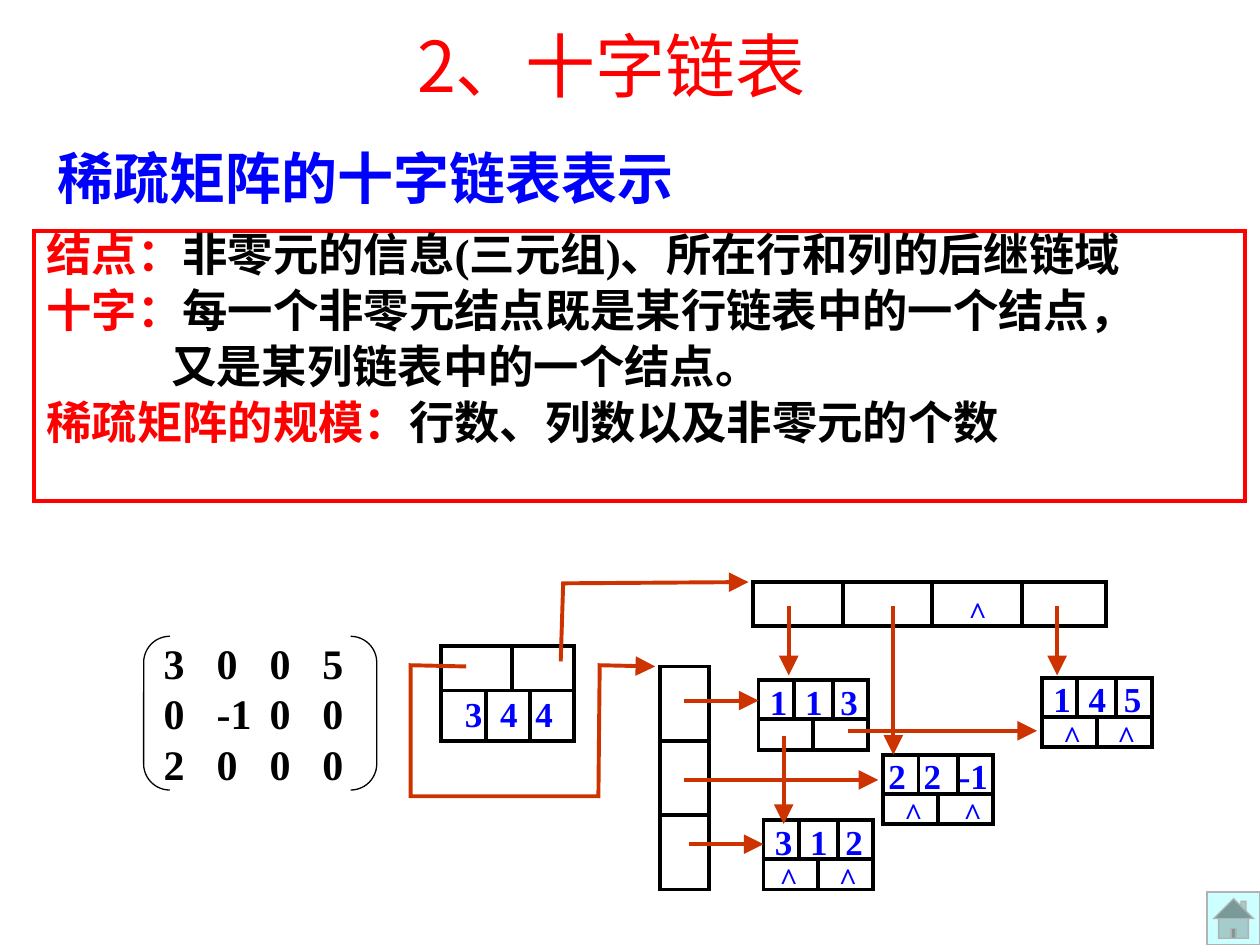
from lxml import etree
from pptx import Presentation
from pptx import util as u
from pptx.dml.color import RGBColor
from pptx.enum import shapes, text
from pptx.oxml import ns

BLACK, RED, BLUE, RUST = "000000", "FF0000", "0000FF", "CC3300"
SERIF, SANS = "Times New Roman", "Noto Sans CJK JP"
I = u.Inches


def rgb(value):
    """Turn a hex string into a colour."""
    return RGBColor.from_string(value)


def style_line(sp, color=BLACK, width=2.25, arrow=False):
    """Set the line of a shape or connector, with an optional end arrowhead."""
    sp.line.color.rgb = rgb(color)
    sp.line.width = u.Pt(width)
    ln = sp.line._get_or_add_ln()
    etree.SubElement(ln, ns.qn("a:miter"), lim="800000")
    if arrow:
        etree.SubElement(ln, ns.qn("a:tailEnd"), type="triangle", w="lg", len="lg")


def add_run(p, words, size, color, bold=True, font=SERIF):
    """Append one formatted run to a paragraph."""
    r = p.add_run()
    r.text = words
    r.font.size, r.font.bold, r.font.name = u.Pt(size), bold, font
    r.font.color.rgb = rgb(color)


def set_frame(sp, left=0, top=0, right=0, bottom=0, wrap=True, anchor="TOP"):
    """Set insets, wrapping and anchor, and return the text frame."""
    tf = sp.text_frame
    tf.margin_left, tf.margin_top = I(left), I(top)
    tf.margin_right, tf.margin_bottom = I(right), I(bottom)
    tf.word_wrap, tf.auto_size = wrap, text.MSO_AUTO_SIZE.NONE
    tf.vertical_anchor = text.MSO_ANCHOR[anchor]
    return tf


def add_columns(p, values, step, size, color):
    """Write values at evenly spaced tab stops."""
    p.alignment = text.PP_ALIGN.LEFT
    tabs = etree.SubElement(p._p.get_or_add_pPr(), ns.qn("a:tabLst"))
    for i in range(1, len(values)):
        etree.SubElement(tabs, ns.qn("a:tab"), pos=str(I(step * i)), algn="l")
    add_run(p, "\t".join(values), size, color)


def add_box(s, x, y, w, h, color=BLACK, width=2.25, kind="RECTANGLE"):
    """Add an unfilled outlined shape."""
    sp = s.shapes.add_shape(shapes.MSO_SHAPE[kind], I(x), I(y), I(w), I(h))
    sp.shadow.inherit = False
    sp.fill.background()
    style_line(sp, color, width)
    return sp


def add_line(s, x1, y1, x2, y2, color=BLACK, arrow=False):
    """Add a straight line or arrow."""
    c = s.shapes.add_connector(shapes.MSO_CONNECTOR.STRAIGHT, I(x1), I(y1), I(x2), I(y2))
    style_line(c, color, arrow=arrow)
    etree.SubElement(c._element.spPr, ns.qn("a:effectLst"))


def add_bent_arrow(s, points):
    """Add an arrow through several points."""
    pts = [(I(x), I(y)) for x, y in points]
    fb = s.shapes.build_freeform(*pts[0])
    fb.add_line_segments(pts[1:], close=False)
    sp = fb.convert_to_shape()
    sp.shadow.inherit = False
    sp.fill.background()
    style_line(sp, RUST, arrow=True)


def add_null(s, x, y):
    """Add a null pointer mark."""
    tf = set_frame(s.shapes.add_textbox(I(x), I(y), I(0.32), I(0.3)))
    tf.paragraphs[0].alignment = text.PP_ALIGN.CENTER
    add_run(tf.paragraphs[0], "^", 18, BLUE)


def add_node(s, x, y, values, inset, nulls):
    """Draw a node: a triple above two link fields."""
    w, h, mid = 0.87, 0.55, 0.31
    tf = set_frame(add_box(s, x, y, w, h), left=inset, wrap=False)
    add_columns(tf.paragraphs[0], values, 0.28, 20, BLUE)
    add_line(s, x, y + mid, x + w, y + mid)
    add_line(s, x + w / 2, y + mid, x + w / 2, y + h)
    for dx in (0.28, 0.59):
        add_line(s, x + dx, y, x + dx, y + mid)
    for dx in nulls:
        add_null(s, x + dx, y + mid)


def add_header(s, x, y, w, h):
    """Draw the list header with two pointers and the matrix sizes."""
    mid = 0.35
    tf = set_frame(add_box(s, x, y, w, h), left=0.19, bottom=0.05, wrap=False, anchor="BOTTOM")
    add_columns(tf.paragraphs[0], ["3", "4", "4"], 0.28, 20, BLUE)
    add_line(s, x, y + mid, x + w, y + mid)
    add_line(s, x + 0.56, y, x + 0.56, y + mid)
    for dx in (0.36, 0.71):
        add_line(s, x + dx, y + mid, x + dx, y + h)


def add_head_arrays(s, x, y, w, h):
    """Draw the column heads at the top right and row heads at the lower left."""
    cell = 0.71
    add_box(s, x + 0.74, y, w - 0.74, 0.35)
    for i in range(1, 4):
        cx = x + 0.74 + cell * i
        add_line(s, cx, y, cx, y + 0.35)
    add_null(s, x + 2.36, y + 0.09)
    top, row = y + 0.67, (h - 0.67) / 3
    add_box(s, x, top, 0.39, h - 0.67)
    for i in (1, 2):
        add_line(s, x, top + row * i, x + 0.39, top + row * i)


def add_links(s, x, y):
    """Draw the pointer arrows between header, heads and nodes."""
    arrows = [(3, 0.19, 3, 0.74), (3.83, 0.19, 3.83, 1.37), (5.13, 0.19, 5.13, 0.74),
              (3.47, 1.18, 4.97, 1.18), (2.17, 1.57, 3.71, 1.57), (2.17, 0.94, 2.76, 0.94),
              (2.21, 2.08, 2.8, 2.08), (2.96, 1.22, 2.96, 1.92)]
    for x1, y1, x2, y2 in arrows:
        add_line(s, x + x1, y + y1, x + x2, y + y2, RUST, True)
    paths = [[(1.19, 0.63), (1.21, 0.01), (2.68, 0)],
             [(0.44, 0.67), (0, 0.66), (0, 1.7), (1.49, 1.7), (1.5, 0.66), (1.94, 0.67)]]
    for path in paths:
        add_bent_arrow(s, [(x + dx, y + dy) for dx, dy in path])


def add_matrix(s, x, y, w, h):
    """Draw the bracketed sparse matrix."""
    sp = add_box(s, x, y, w, h, width=0.75, kind="DOUBLE_BRACKET")
    sp.adjustments[0] = 0.17
    tf = set_frame(sp, 0.1, 0.05, 0.1, 0.05, wrap=False, anchor="MIDDLE")
    for i, row in enumerate(["3 0 0 5", "0 -1 0 0", "2 0 0 0"]):
        p = tf.add_paragraph() if i else tf.paragraphs[0]
        add_columns(p, row.split(), 0.42, 24, BLACK)


def add_definitions(s, x, y, w, h):
    """Write the definitions in the red frame."""
    lines = [("结点：", "非零元的信息(三元组)、所在行和列的后继链域"),
             ("十字：", "每一个非零元结点既是某行链表中的一个结点，"),
             ("", "又是某列链表中的一个结点。"),
             ("稀疏矩阵的规模：", "行数、列数以及非零元的个数")]
    tf = set_frame(add_box(s, x, y, w, h, RED), 0.1, 0.05, 0.1, 0.05)
    for i, (term, words) in enumerate(lines):
        p = tf.add_paragraph() if i else tf.paragraphs[0]
        p.alignment, p.line_spacing = text.PP_ALIGN.LEFT, 0.8
        if i:
            p.space_before = u.Pt(7)
        if term:
            add_run(p, term, 25.9, RED)
        else:
            p._p.get_or_add_pPr().set("marL", str(I(0.99)))
        add_run(p, words, 25.9, BLACK)


def add_headings(s):
    """Place the title and the subheading."""
    title = s.shapes.title
    title.left, title.top, title.width, title.height = I(3.21), I(0.13), I(4.2), I(0.77)
    sub = s.shapes.add_textbox(I(0.36), I(1.09), I(5.09), I(0.64))
    for sp, words, size, color, bold, font in (
            (title, "2、十字链表", 40, RED, False, SANS),
            (sub, "稀疏矩阵的十字链表表示", 32, BLUE, True, SERIF)):
        p = set_frame(sp, 0.1, 0.05, 0.1, 0.05, wrap=False).paragraphs[0]
        p.alignment = text.PP_ALIGN.LEFT
        add_run(p, words, size, color, bold, font)


def main():
    """Build and save the slide."""
    prs = Presentation()
    prs.slide_width, prs.slide_height = I(10), I(7.5)
    s = prs.slides.add_slide(prs.slide_layouts[5])
    add_headings(s)
    add_definitions(s, 0.27, 1.83, 9.61, 2.15)
    home = add_box(s, 9.58, 7.08, 0.42, 0.42, "B2B2B2", 0.75, "ACTION_BUTTON_HOME")
    home.fill.solid()
    home.fill.fore_color.rgb = rgb("CCFFFF")
    add_matrix(s, 1.14, 5.05, 1.85, 1.22)
    add_header(s, 3.5, 5.13, 1.06, 0.75)
    add_head_arrays(s, 5.24, 4.62, 3.54, 2.44)
    add_node(s, 6.02, 5.4, ["1", "1", "3"], 0.09, [])
    add_node(s, 8.27, 5.38, ["1", "4", "5"], 0.09, [0.08, 0.51])
    add_node(s, 7.01, 5.99, ["2", "2", "-1"], 0.04, [0.08, 0.55])
    add_node(s, 6.06, 6.51, ["3", "1", "2"], 0.09, [0.04, 0.51])
    add_links(s, 3.26, 4.62)
    prs.save("out.pptx")


if __name__ == "__main__":
    main()
